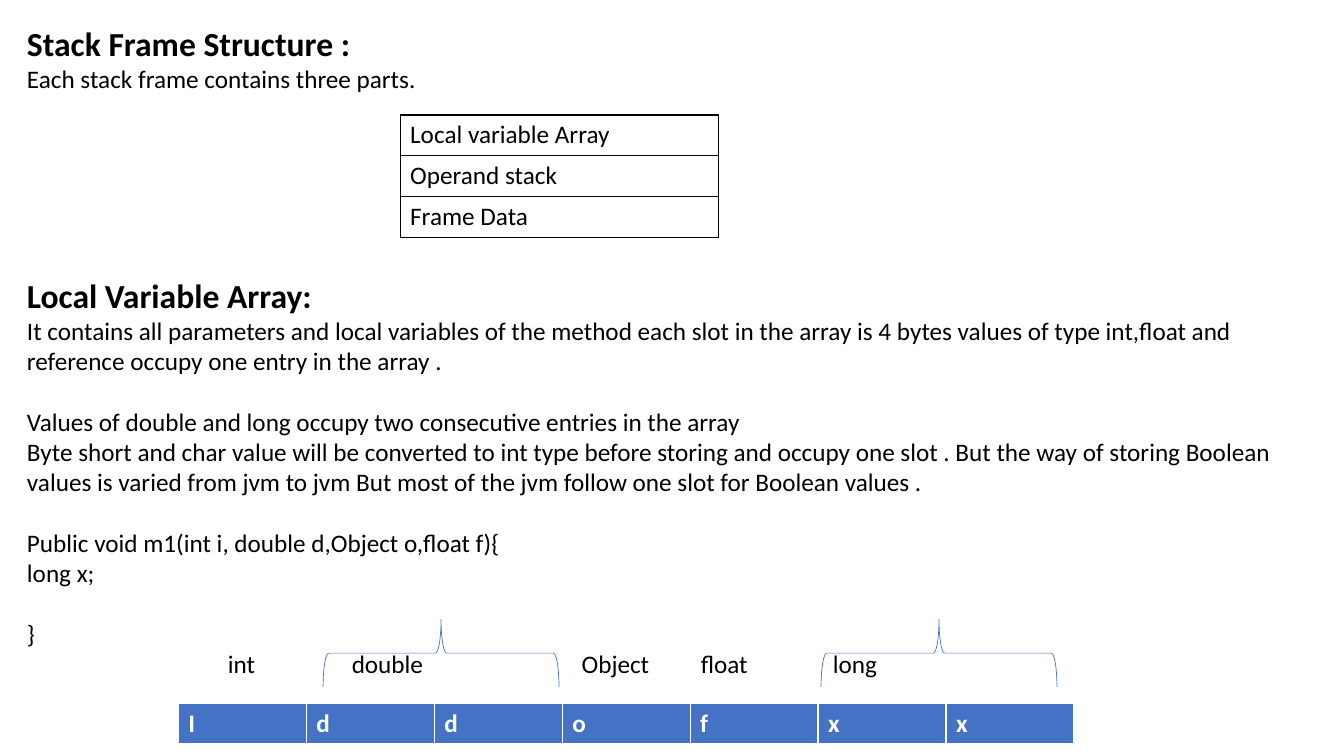
from lxml import etree
from pptx import Presentation
from pptx.dml.color import RGBColor
from pptx.enum import shapes, text
from pptx.oxml.ns import qn
from pptx.util import Pt

# Content: (text, size, blank lines' worth of space before)
BODY = [
    ("Stack Frame Structure :", 24, 0),
    ("Each stack frame contains three parts.", 18, 0),
    ("Local Variable Array:", 24, 6),
    ("It contains all parameters and local variables of the method each slot "
     "in the array is 4 bytes values of type int,float and reference occupy "
     "one entry in the array .", 18, 0),
    ("Values of double and long occupy two consecutive entries in the array", 18, 1),
    ("Byte short and char value will be converted to int type before storing "
     "and occupy one slot . But the way of storing Boolean values is varied "
     "from jvm to jvm But most of the jvm follow one slot for Boolean values .", 18, 0),
    ("Public void m1(int i, double d,Object o,float f){", 18, 1),
    ("long x;", 18, 0),
    ("}", 18, 1),
]
TYPES = [("int", 143.5), ("double", 232), ("Object", 396.2),
         ("float", 481.3), ("long", 575.6)]  # label, tab stop
PARTS = [["Local variable Array"], ["Operand stack"], ["Frame Data"]]
SLOTS = [["I", "d", "d", "o", "f", "x", "x"]]
BRACES = [290.9, 646.6]  # left edges before rotation
COLORS = {"ink": "000000", "blue": "4472C4", "white": "FFFFFF"}
LINE = 21.6


def rgb(name):
    return RGBColor.from_string(COLORS[name])


def style(par, size, color, bold):
    for run in par.runs:
        font = run.font
        font.name, font.size, font.bold = "Calibri", Pt(size), bold
        font.color.rgb = rgb(color)


def border(cell, color, widths):
    props = cell._tc.get_or_add_tcPr()
    for i, (side, width) in enumerate(zip(("lnL", "lnR", "lnT", "lnB"), widths)):
        line = etree.Element(qn("a:" + side), w=str(Pt(width)))
        fill = etree.SubElement(line, qn("a:solidFill"))
        etree.SubElement(fill, qn("a:srgbClr"), val=COLORS[color])
        props.insert(i, line)


def grid(rows, left, top, wide, high, ink, edge, widths, fill=None):
    count = len(rows[0])
    table = slide.shapes.add_table(len(rows), count, Pt(left), Pt(top),
                                   Pt(wide * count), Pt(high * len(rows))).table
    for col in table.columns:
        col.width = Pt(wide)
    for r, row in enumerate(rows):
        table.rows[r].height = Pt(high)
        for c, word in enumerate(row):
            cell = table.cell(r, c)
            cell.text_frame.text = word
            style(cell.text_frame.paragraphs[0], 18, ink, fill is not None)
            if fill:
                cell.fill.solid()
                cell.fill.fore_color.rgb = rgb(fill)
            else:
                cell.fill.background()
            border(cell, edge, widths)


deck = Presentation()
deck.slide_width, deck.slide_height = Pt(960), Pt(540)
slide = deck.slides.add_slide(deck.slide_layouts[6])

# Body text, ending with the tabbed row of type labels
frame = slide.shapes.add_textbox(Pt(12.2), Pt(13), Pt(930.2), Pt(523.4)).text_frame
frame.word_wrap = True
frame.auto_size = text.MSO_AUTO_SIZE.SHAPE_TO_FIT_TEXT
labels = "".join("\t" + name for name, stop in TYPES)
for i, (words, size, gap) in enumerate(BODY + [(labels, 18, 0)]):
    par = frame.add_paragraph() if i else frame.paragraphs[0]
    par.text = words
    par.space_before = Pt(gap * LINE)
    style(par, size, "ink", size == 24)
tabs = etree.SubElement(par._p.get_or_add_pPr(), qn("a:tabLst"))
for name, stop in TYPES:
    etree.SubElement(tabs, qn("a:tab"), pos=str(Pt(stop)), algn="l")

# Frame parts and variable slots
grid(PARTS, 285.8, 82.1, 227.5, 29.2, "ink", "ink", (1, 1, 1, 1))
grid(SLOTS, 127.4, 502.6, 91.4, 29.2, "white", "white", (1, 1, 1, 3), "blue")

# Braces over the two-slot types
for left in BRACES:
    brace = slide.shapes.add_shape(shapes.MSO_SHAPE.LEFT_BRACE, Pt(left),
                                   Pt(382.3), Pt(48.2), Pt(168.5))
    brace.rotation = 90
    brace.shadow.inherit = False
    brace.fill.background()
    brace.line.color.rgb = rgb("blue")
    brace.line.width = Pt(0.5)

deck.save("out.pptx")
